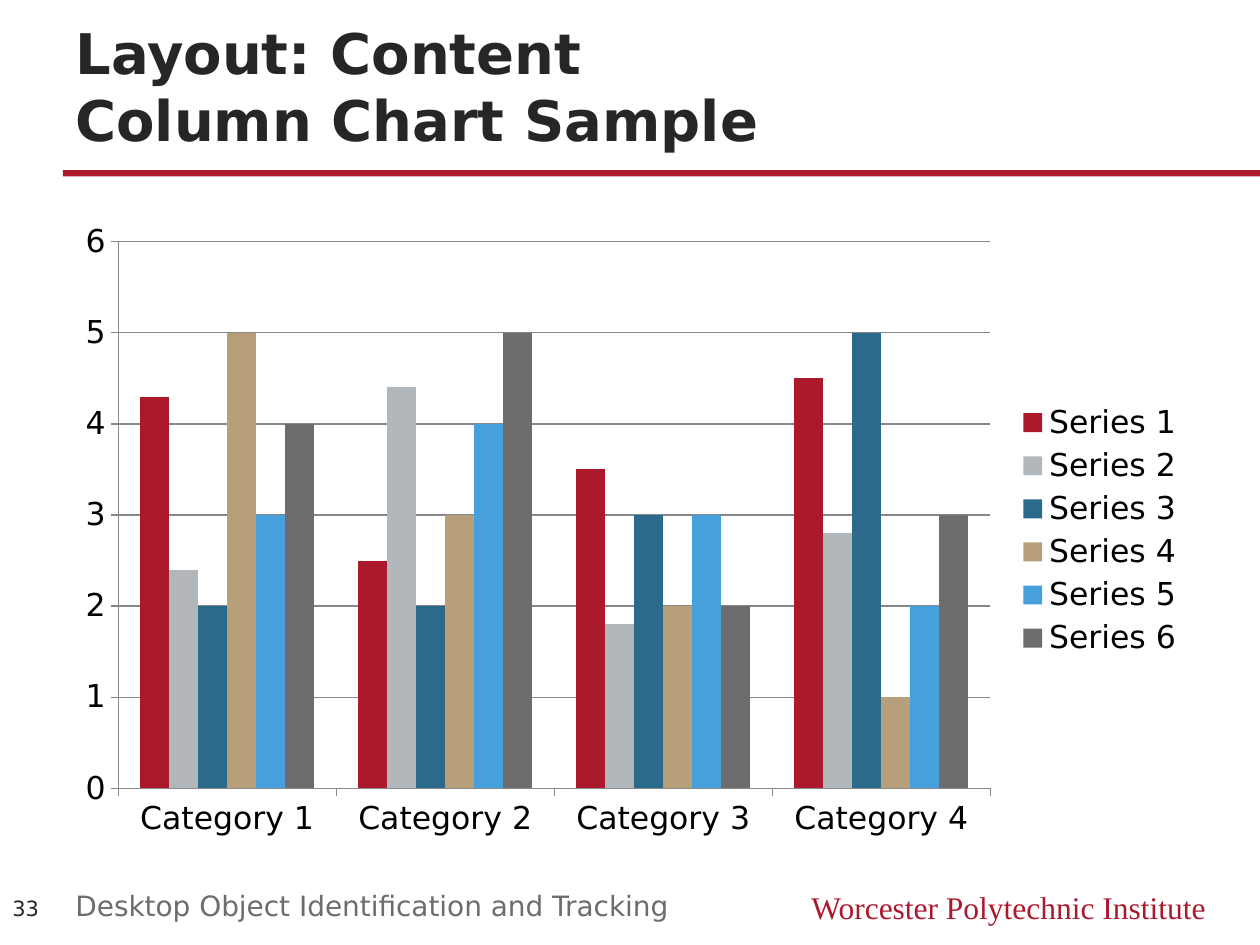
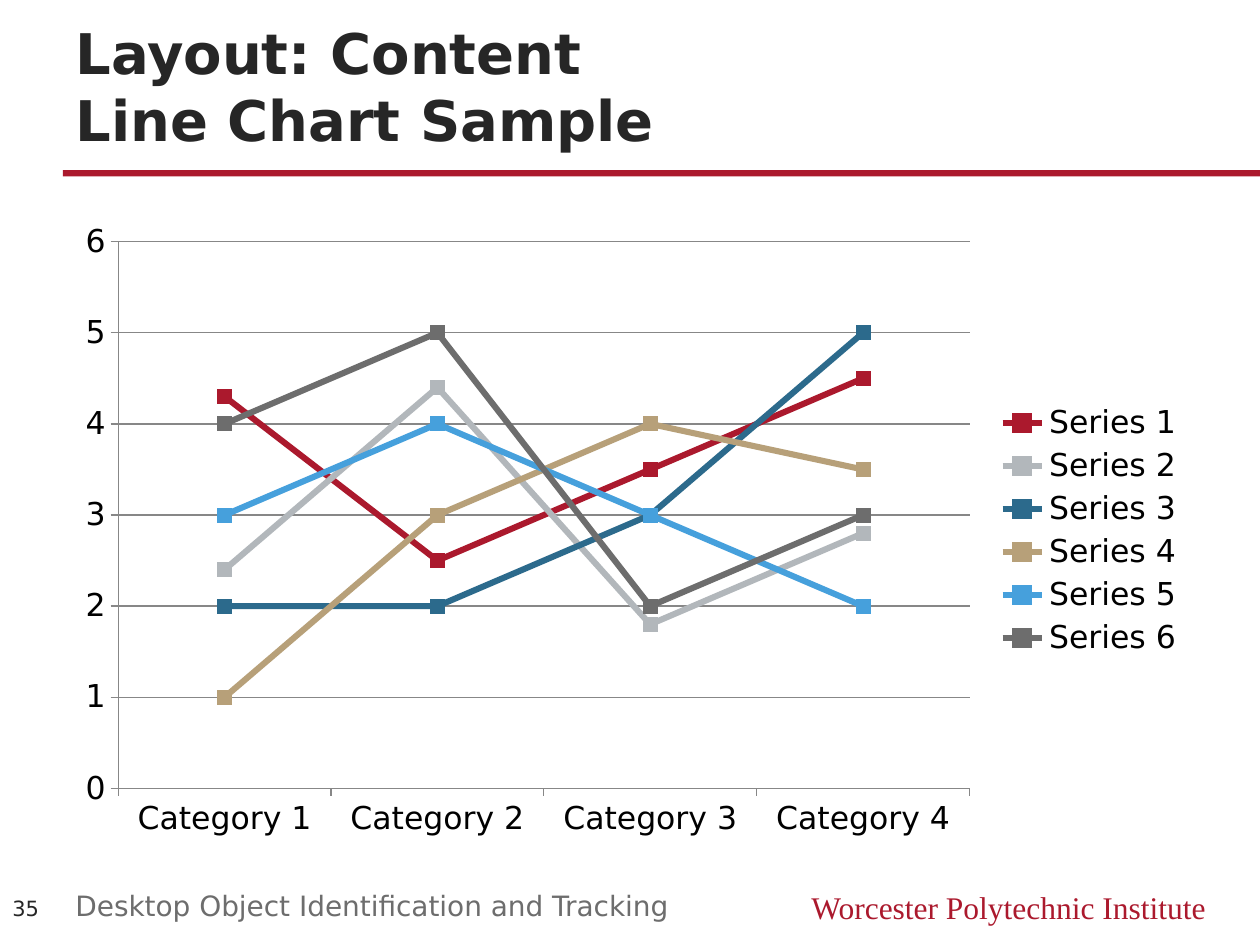
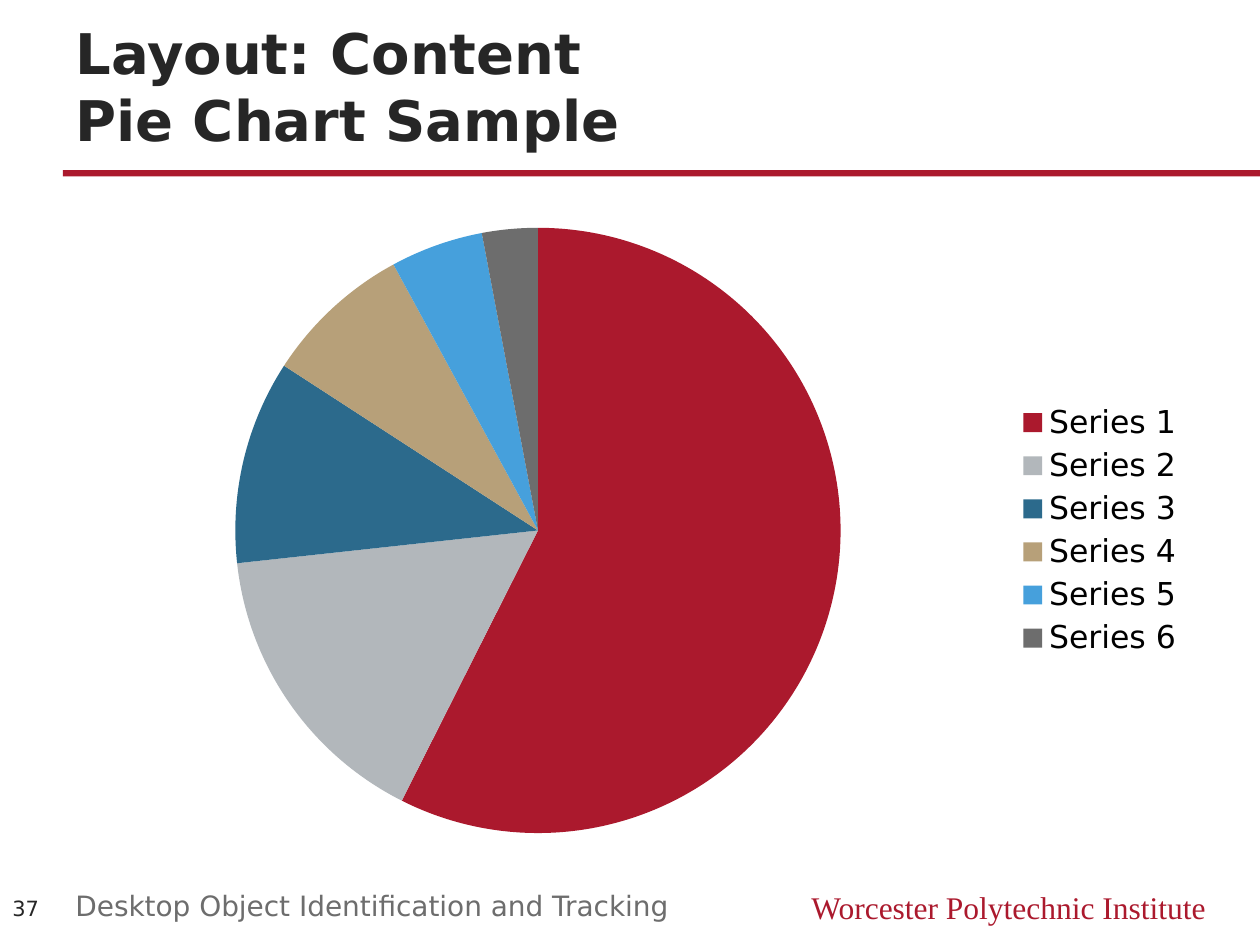
import pptx
import pptx.chart.data
import pptx.dml.color
import pptx.enum.chart
import pptx.enum.shapes
import pptx.enum.text
import pptx.util

Inches = pptx.util.Inches
Pt = pptx.util.Pt
XL = pptx.enum.chart.XL_CHART_TYPE
ANCHOR = pptx.enum.text.MSO_ANCHOR
ALIGN = pptx.enum.text.PP_ALIGN

COLORS = {
    "crimson": "AB192D",
    "silver": "B2B7BB",
    "teal": "2C6A8C",
    "tan": "B7A079",
    "sky": "46A0DC",
    "gray": "6D6D6D",
    "ink": "262626",
    "axis": "878787",
    "black": "000000",
}
PALETTE = ["crimson", "silver", "teal", "tan", "sky", "gray"]
SANS = "DejaVu Sans"
SERIF = "Times New Roman"
CATEGORIES = [f"Category {n}" for n in range(1, 5)]
SERIES_NAMES = [f"Series {n}" for n in range(1, 7)]
COLUMN_VALUES = [
    [4.3, 2.5, 3.5, 4.5],
    [2.4, 4.4, 1.8, 2.8],
    [2, 2, 3, 5],
    [5, 3, 2, 1],
    [3, 4, 3, 2],
    [4, 5, 2, 3],
]
LINE_VALUES = COLUMN_VALUES[:3] + [[1, 3, 4, 3.5]] + COLUMN_VALUES[4:]
PIE_VALUES = [58, 16, 11, 8, 5, 3]


def rgb(name):
    return pptx.dml.color.RGBColor.from_string(COLORS[name])


def paint(fill, color):
    fill.solid()
    fill.fore_color.rgb = rgb(color)


def add_text(s, box, lines, size, color, font=SANS, bold=False,
             anchor=ANCHOR.TOP, align=ALIGN.LEFT):
    tf = s.shapes.add_textbox(*map(Inches, box)).text_frame
    tf.word_wrap = True
    tf.vertical_anchor = anchor
    p = tf.paragraphs[0]
    p.alignment = align
    for i, line in enumerate(lines):
        if i:
            p.add_line_break()
        r = p.add_run()
        r.text = line
        r.font.name = font
        r.font.size = Pt(size)
        r.font.bold = bold
        r.font.color.rgb = rgb(color)


def add_slide(prs, subtitle, number):
    s = prs.slides.add_slide(prs.slide_layouts[6])
    rule = s.shapes.add_shape(pptx.enum.shapes.MSO_SHAPE.RECTANGLE,
                              Inches(0.5), Inches(1.35), Inches(9.5), Inches(0.05))
    rule.shadow.inherit = False
    paint(rule.fill, "crimson")
    rule.line.fill.background()
    add_text(s, (6, 7, 3.67, 0.4), ["Worcester Polytechnic Institute"], 18,
             "crimson", font=SERIF, align=ALIGN.RIGHT)
    add_text(s, (0.5, 0.38, 9, 0.88), ["Layout: Content", subtitle], 32,
             "ink", bold=True, anchor=ANCHOR.BOTTOM)
    add_text(s, (0.5, 7, 5.58, 0.33), ["Desktop Object Identification and Tracking"],
             16, "gray")
    add_text(s, (0, 6.99, 0.5, 0.43), [str(number)], 12, "ink", anchor=ANCHOR.MIDDLE)
    return s


def add_chart(s, kind, categories, series):
    data = pptx.chart.data.CategoryChartData()
    data.categories = categories
    for name, values in series:
        data.add_series(name, values)
    chart = s.shapes.add_chart(kind, Inches(0.5), Inches(1.67),
                               Inches(9), Inches(5.08), data).chart
    chart.has_title = False
    chart.font.name = SANS
    chart.font.size = Pt(18)
    chart.font.color.rgb = rgb("black")
    chart.has_legend = True
    chart.legend.position = pptx.enum.chart.XL_LEGEND_POSITION.RIGHT
    chart.legend.include_in_layout = False
    return chart


def style_line(line, color, width):
    line.color.rgb = rgb(color)
    line.width = Pt(width)


def style_axes(chart):
    chart.plots[0].vary_by_categories = False
    chart.value_axis.minimum_scale = 0
    chart.value_axis.maximum_scale = 6
    chart.value_axis.major_unit = 1
    chart.value_axis.has_major_gridlines = True
    style_line(chart.value_axis.major_gridlines.format.line, "axis", 0.75)
    for axis in (chart.category_axis, chart.value_axis):
        axis.major_tick_mark = pptx.enum.chart.XL_TICK_MARK.OUTSIDE
        style_line(axis.format.line, "axis", 0.75)


def add_column_chart(s):
    chart = add_chart(s, XL.COLUMN_CLUSTERED, CATEGORIES,
                      zip(SERIES_NAMES, COLUMN_VALUES))
    style_axes(chart)
    plot = chart.plots[0]
    plot.gap_width = 150
    plot.overlap = 0
    for series, color in zip(plot.series, PALETTE):
        paint(series.format.fill, color)


def add_line_chart(s):
    chart = add_chart(s, XL.LINE_MARKERS, CATEGORIES, zip(SERIES_NAMES, LINE_VALUES))
    style_axes(chart)
    for series, color in zip(chart.plots[0].series, PALETTE):
        series.smooth = False
        style_line(series.format.line, color, 3.5)
        marker = series.marker
        marker.style = pptx.enum.chart.XL_MARKER_STYLE.SQUARE
        marker.size = 8
        paint(marker.format.fill, color)
        style_line(marker.format.line, color, 0.75)


def add_pie_chart(s):
    chart = add_chart(s, XL.PIE, SERIES_NAMES, [("Series 1", PIE_VALUES)])
    plot = chart.plots[0]
    plot.vary_by_categories = True
    for i, color in enumerate(PALETTE):
        paint(plot.series[0].points[i].format.fill, color)


def main():
    prs = pptx.Presentation()
    prs.slide_width = Inches(10)
    prs.slide_height = Inches(7.5)
    add_column_chart(add_slide(prs, "Column Chart Sample", 33))
    add_line_chart(add_slide(prs, "Line Chart Sample", 35))
    add_pie_chart(add_slide(prs, "Pie Chart Sample", 37))
    prs.save("out.pptx")


if __name__ == "__main__":
    main()
